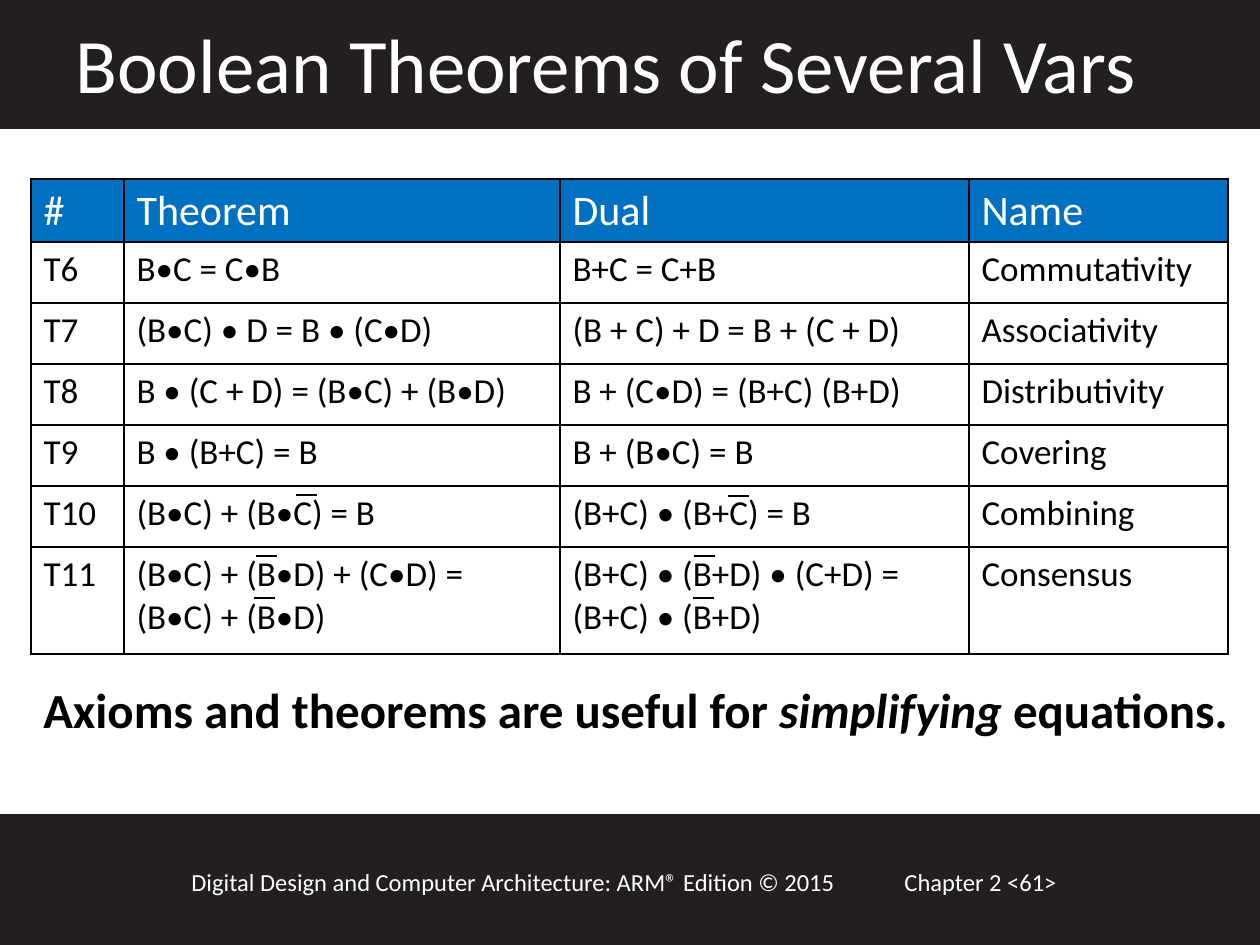
from lxml.etree import SubElement
from pptx import Presentation
from pptx.dml.color import RGBColor
from pptx.enum.shapes import MSO_CONNECTOR as Connector, MSO_SHAPE as Shape
from pptx.enum.text import MSO_ANCHOR as Anchor, MSO_AUTO_SIZE as AutoSize, PP_ALIGN as Align
from pptx.oxml import parse_xml
from pptx.oxml.ns import nsdecls, qn
from pptx.util import Emu, Pt

BLACK = RGBColor(0x00, 0x00, 0x00)
WHITE = RGBColor(0xFF, 0xFF, 0xFF)
CHARCOAL = RGBColor(0x23, 0x1F, 0x20)
BLUE = RGBColor(0x00, 0x70, 0xC0)

SLIDE_W, SLIDE_H = 1260, 945
COLUMN_WIDTHS = [93, 436, 409, 259]
ROW_HEIGHTS = [61] * 6 + [107]
THEOREMS = [
    ["#", "Theorem", "Dual", "Name"],
    ["T6", "B•C = C•B", "B+C = C+B", "Commutativity"],
    ["T7", "(B•C) • D = B • (C•D)", "(B + C) + D = B + (C + D)", "Associativity"],
    ["T8", "B • (C + D) = (B•C) + (B•D)", "B + (C•D) = (B+C) (B+D)", "Distributivity"],
    ["T9", "B • (B+C) = B", "B + (B•C) = B", "Covering"],
    ["T10", "(B•C) + (B•C) = B", "(B+C) • (B+C) = B", "Combining"],
    ["T11", "(B•C) + (B•D) + (C•D) =\n(B•C) + (B•D)",
     "(B+C) • (B+D) • (C+D) =\n(B+C) • (B+D)", "Consensus"],
]
OVERBAR_LENGTH = 21
OVERBARS = [(296, 495), (256, 556), (254, 598), (728, 496), (694, 556), (693, 598)]


def px(length):
    return Emu(round(length * 914400 / 126))


def write(frame, text, size=20, color=BLACK, bold=False, italic_word=None):
    """Fill a text frame, one paragraph a line, with italic_word slanted."""
    frame.word_wrap = True
    for index, line in enumerate(text.split("\n")):
        paragraph = frame.paragraphs[0] if index == 0 else frame.add_paragraph()
        paragraph.alignment = Align.LEFT
        before, word, after = line.partition(italic_word) if italic_word else (line, "", "")
        for part in filter(None, (before, word, after)):
            run = paragraph.add_run()
            run.text = part
            font = run.font
            font.name, font.size, font.bold = "Calibri", Pt(size), bold
            font.italic = part == italic_word
            font.color.rgb = color


class TheoremSlide:
    """Holds the current slide and draws its elements in one style."""

    def __init__(self, deck):
        self.slide = deck.slides.add_slide(deck.slide_layouts[5])
        self.shapes = self.slide.shapes

    def bar(self, top, height):
        bar = self.shapes.add_shape(Shape.RECTANGLE, 0, px(top), px(SLIDE_W), px(height))
        bar.shadow.inherit = False
        bar.fill.solid()
        bar.fill.fore_color.rgb = CHARCOAL
        bar.line.color.rgb = CHARCOAL
        bar.line.width = Pt(2)

    def title(self, text, left, top, width, height):
        title = self.shapes.title
        title.left, title.top, title.width, title.height = map(px, (left, top, width, height))
        title.text_frame.auto_size = AutoSize.NONE
        title.text_frame.vertical_anchor = Anchor.MIDDLE
        write(title.text_frame, text, size=44, color=WHITE)
        self.shapes._spTree.append(title._element)  # in front of the top bar

    def text(self, text, left, top, width, height, **style):
        box = self.shapes.add_textbox(*map(px, (left, top, width, height)))
        write(box.text_frame, text, **style)

    def overbar(self, left, top):
        line = self.shapes.add_connector(
            Connector.STRAIGHT, px(left), px(top), px(left + OVERBAR_LENGTH), px(top))
        line.line.color.rgb = BLACK
        line.line.width = Pt(0.75)
        SubElement(line._element.spPr, qn("a:effectLst"))

    def cell(self, cell, text, is_header):
        properties = cell._tc.get_or_add_tcPr()
        for side in "LRTB":
            properties.append(parse_xml(
                f'<a:ln{side} {nsdecls("a")} w="{Pt(1)}"><a:solidFill>'
                f'<a:srgbClr val="{BLACK}"/></a:solidFill></a:ln{side}>'))
        cell.fill.solid()
        cell.fill.fore_color.rgb = BLUE if is_header else WHITE
        write(cell.text_frame, text, size=24 if is_header else 20,
              color=WHITE if is_header else BLACK)

    def table(self, rows, left, top):
        table = self.shapes.add_table(
            len(rows), len(COLUMN_WIDTHS), px(left), px(top),
            px(sum(COLUMN_WIDTHS)), px(sum(ROW_HEIGHTS))).table
        for column, width in zip(table.columns, COLUMN_WIDTHS):
            column.width = px(width)
        for row, height in zip(table.rows, ROW_HEIGHTS):
            row.height = px(height)
        for row_index, row in enumerate(rows):
            for column_index, text in enumerate(row):
                self.cell(table.cell(row_index, column_index), text, row_index == 0)


def main():
    deck = Presentation()
    deck.slide_width, deck.slide_height = px(SLIDE_W), px(SLIDE_H)
    page = TheoremSlide(deck)

    page.bar(816, 129)
    page.bar(0, 127)
    page.text("Chapter 2 <61>", 892, 861, 273, 43, size=14, color=WHITE)
    page.text("Digital Design and Computer Architecture: ARM® Edition © 2015",
              179, 861, 725, 43, size=14, color=WHITE)
    page.table(THEOREMS, 31, 179)
    for left, top in OVERBARS:
        page.overbar(left, top)
    page.title("Boolean Theorems of Several Vars", 63, 10, 1092, 106)
    page.text("Axioms and theorems are useful for simplifying equations.",
              31, 673, 1270, 72, size=28, bold=True, italic_word="simplifying")

    deck.save("out.pptx")


if __name__ == "__main__":
    main()
